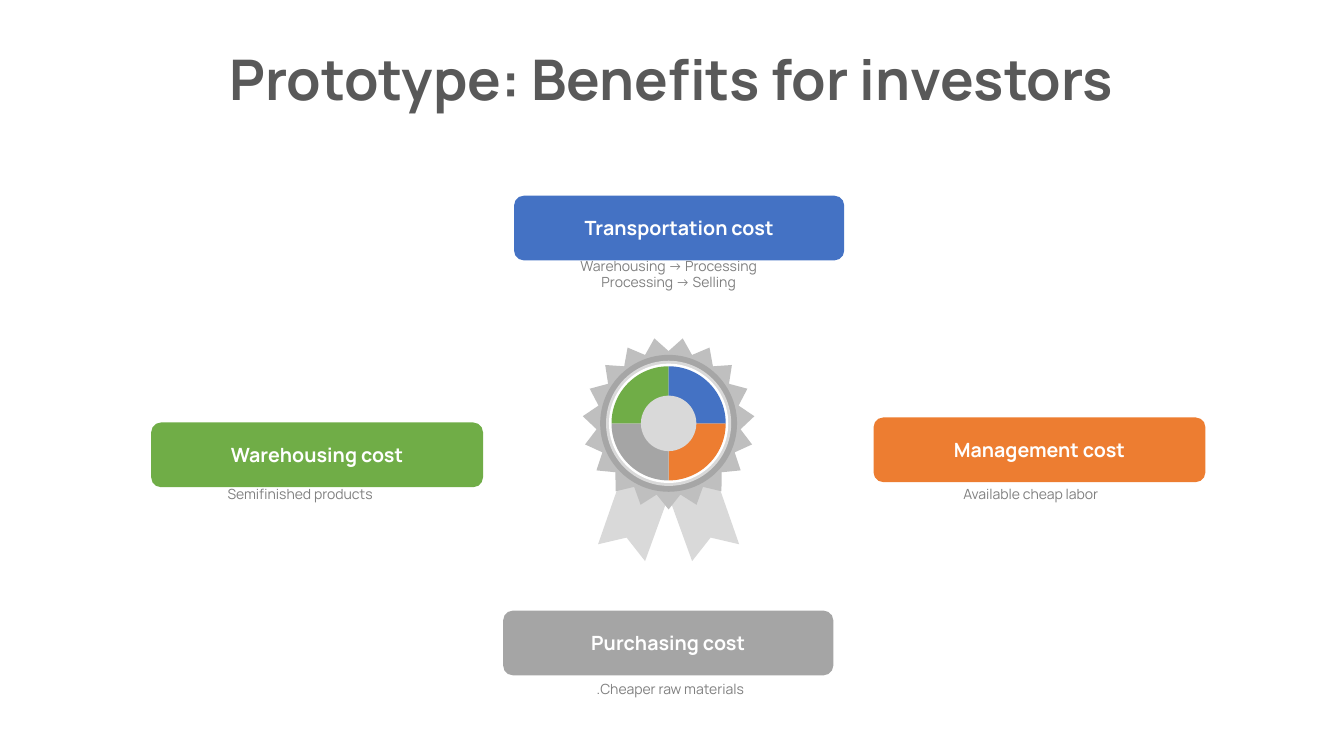
from math import cos, pi, sin

from pptx import Presentation
from pptx.dml.color import RGBColor
from pptx.enum.shapes import MSO_SHAPE
from pptx.enum.text import MSO_ANCHOR, PP_ALIGN
from pptx.util import Emu, Pt

COLS, ROWS, CELL = 160, 90, 76200
FONT = "Manrope"
WHITE = RGBColor(0xFF, 0xFF, 0xFF)
BLUE = RGBColor(0x44, 0x72, 0xC4)
ORANGE = RGBColor(0xED, 0x7D, 0x31)
GREEN = RGBColor(0x70, 0xAD, 0x47)
GRAY = RGBColor(0xA5, 0xA5, 0xA5)
INK = RGBColor(0x59, 0x59, 0x59)
MUTED = RGBColor(0x80, 0x80, 0x80)
PALE = RGBColor(0xD9, 0xD9, 0xD9)
SILVER = RGBColor(0xBF, 0xBF, 0xBF)
STEEL = RGBColor(0xA6, 0xA6, 0xA6)


def grid(*cells):
    return [Emu(round(cell * CELL)) for cell in cells]


def write(frame, text, size=10, color=MUTED, bold=False, align=PP_ALIGN.CENTER,
          anchor=MSO_ANCHOR.TOP, space=None):
    frame.word_wrap = True
    frame.vertical_anchor = anchor
    frame.margin_left = frame.margin_right = frame.margin_top = frame.margin_bottom = 0
    for index, line in enumerate(text.split("\n")):
        para = frame.paragraphs[0] if index == 0 else frame.add_paragraph()
        para.alignment = align
        para.line_spacing = space
        run = para.add_run()
        run.text = line
        run.font.name, run.font.size, run.font.bold = FONT, Pt(size), bold
        run.font.color.rgb = color


class Deck:
    """Draws styled elements on the current slide, measured in grid cells."""

    def __init__(self):
        self.file = Presentation()
        self.file.slide_width, self.file.slide_height = grid(COLS, ROWS)
        self.slide = self.file.slides.add_slide(self.file.slide_layouts[6])
        self.shapes = self.slide.shapes

    def paint(self, shape, color):
        shape.shadow.inherit = False
        shape.fill.solid()
        shape.fill.fore_color.rgb = color
        shape.line.fill.background()
        return shape

    def label(self, box, text, **style):
        write(self.shapes.add_textbox(*grid(*box)).text_frame, text, **style)

    def banner(self, left, top, width, text, color):
        box = grid(left, top, width, 7.7)
        shape = self.paint(self.shapes.add_shape(MSO_SHAPE.ROUNDED_RECTANGLE, *box), color)
        shape.adjustments[0] = 0.15
        write(shape.text_frame, text, size=14, color=WHITE, bold=True,
              anchor=MSO_ANCHOR.MIDDLE)

    def disc(self, x, y, width, color):
        box = grid(x - width / 2, y - width / 2, width, width)
        self.paint(self.shapes.add_shape(MSO_SHAPE.OVAL, *box), color)

    def outline(self, points, color):
        first, *rest = [grid(*point) for point in points]
        pen = self.shapes.build_freeform(*first)
        pen.add_line_segments(rest, close=True)
        self.paint(pen.convert_to_shape(), color)

    def badge(self, x, y):
        tail = [(8.4, 14.4), (4.7, 3.8), (-1, 5.9), (2.8, 16.4), (5, 13.6)]
        for side in (-1, 1):
            self.outline([(x + side * dx, y + dy) for dx, dy in tail], PALE)
        tips = 19
        star = []
        for step in range(2 * tips):
            reach = 8.6 if step % 2 else 10.25
            turn = pi / 2 + step * pi / tips
            star.append((x + reach * cos(turn), y + reach * sin(turn)))
        self.outline(star, SILVER)
        for width, color in ((16.3, STEEL), (14.9, PALE), (14.2, WHITE)):
            self.disc(x, y, width, color)
        for part, color in enumerate((ORANGE, GRAY, GREEN, BLUE)):
            turns = [(part + step / 24) * pi / 2 for step in range(25)]
            rim = [(x + 6.8 * cos(turn), y + 6.8 * sin(turn)) for turn in turns]
            self.outline([(x, y)] + rim, color)
        self.disc(x, y, 6.6, PALE)


def main():
    deck = Deck()
    deck.label((19.9, 5.6, 120, 8.3), "Prototype: Benefits for investors", size=40,
               color=INK, bold=True, anchor=MSO_ANCHOR.MIDDLE, space=0.9)
    for banner in (
        (104, 49.7, 39.5, "Management cost", ORANGE),
        (18, 50.3, 39.5, "Warehousing cost", GREEN),
        (61.2, 23.3, 39.3, "Transportation cost", BLUE),
        (59.9, 72.7, 39.3, "Purchasing cost", GRAY),
    ):
        deck.banner(*banner)
    for box, text, align in (
        ((114.7, 57.8, 18.1, 2), "Available cheap labor", PP_ALIGN.LEFT),
        ((27.1, 57.8, 18.6, 2), "Semifinished products", PP_ALIGN.LEFT),
        ((67.1, 30.6, 25, 4.1), "Warehousing → Processing\nProcessing → Selling",
         PP_ALIGN.CENTER),
        ((60.2, 81, 39.2, 2), ".Cheaper raw materials", PP_ALIGN.CENTER),
    ):
        deck.label(box, text, align=align)
    deck.badge(79.6, 50.4)
    deck.file.save("out.pptx")


if __name__ == "__main__":
    main()
